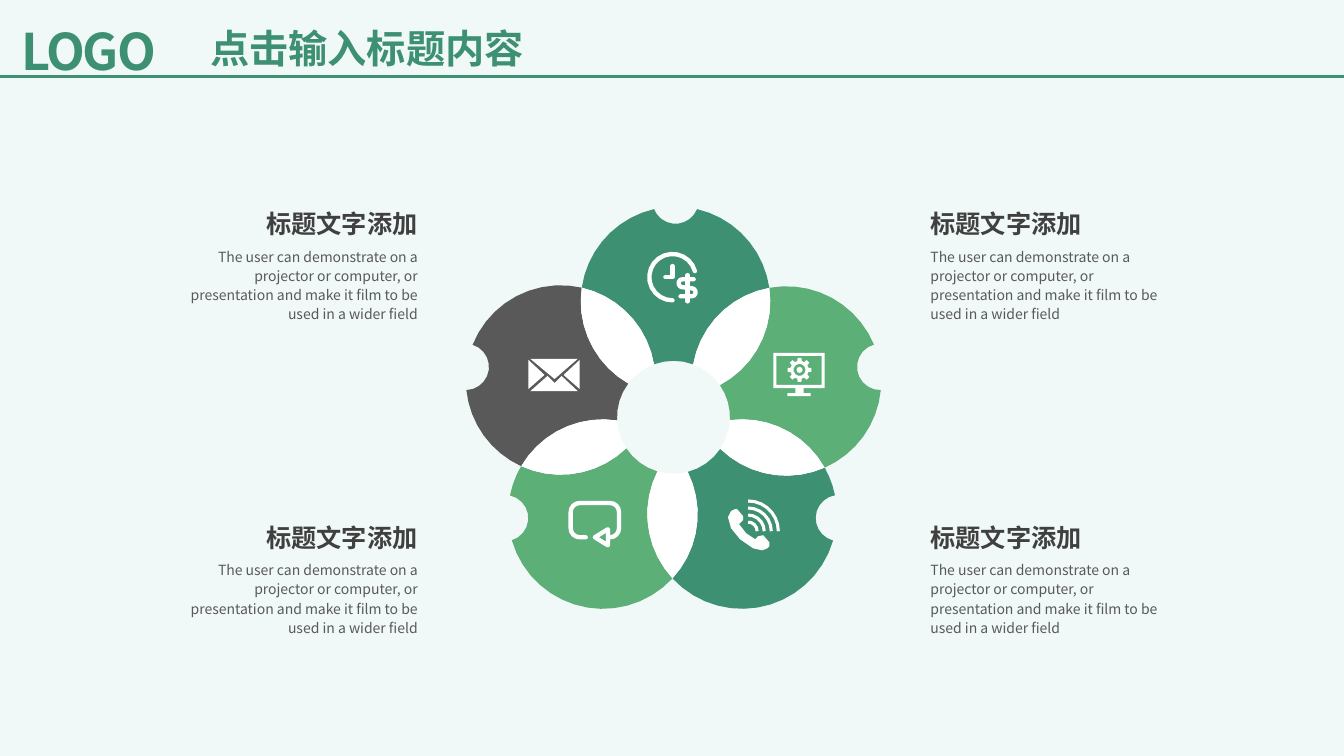
from dataclasses import dataclass
from math import atan2, ceil, cos, degrees, dist, hypot, radians, sin, sqrt
from typing import NamedTuple

from lxml.etree import SubElement
from pptx import Presentation
from pptx.dml.color import RGBColor
from pptx.enum.shapes import MSO_CONNECTOR, MSO_SHAPE
from pptx.enum.text import MSO_AUTO_SIZE, PP_ALIGN
from pptx.oxml.ns import qn
from pptx.util import Inches, Pt

GREEN = RGBColor(0x3D, 0x90, 0x72)
LIGHT_GREEN = RGBColor(0x5C, 0xAF, 0x77)
GRAY = RGBColor(0x59, 0x59, 0x59)
DARK = RGBColor(0x40, 0x40, 0x40)
WHITE = RGBColor(0xFF, 0xFF, 0xFF)
MINT = RGBColor(0xB4, 0xE2, 0xD7)
FONT = "Noto Sans CJK SC"
HEADING = "标题文字添加"
BODY = ("The user can demonstrate on a projector or computer, or presentation "
        "and make it film to be used in a wider field")


class Point(NamedTuple):
    x: float
    y: float


Outline = list[Point]


class Circle(NamedTuple):
    center: Point
    radius: float

    def at(self, angle: float) -> Point:
        return Point(self.center.x + self.radius * cos(radians(angle)),
                     self.center.y + self.radius * sin(radians(angle)))

    def sweep(self, start: float, end: float) -> Outline:
        steps = ceil(abs(radians(end - start)) / sqrt(0.02 / self.radius))
        return [self.at(start + (end - start) * i / steps) for i in range(steps + 1)]

    def short_arc(self, start: Point, end: Point) -> Outline:
        first, last = (degrees(atan2(p.y - self.center.y, p.x - self.center.x))
                       for p in (start, end))
        return self.sweep(first, first + (last - first + 180) % 360 - 180)

    def meet(self, other: "Circle") -> Outline:
        dx, dy = other.center.x - self.center.x, other.center.y - self.center.y
        gap = hypot(dx, dy)
        along = (gap ** 2 + self.radius ** 2 - other.radius ** 2) / (2 * gap)
        across = sqrt(self.radius ** 2 - along ** 2)
        return [Point(self.center.x + (along * dx - side * across * dy) / gap,
                      self.center.y + (along * dy + side * across * dx) / gap)
                for side in (1, -1)]

    def meet_near(self, other: "Circle", target: Point) -> Point:
        return min(self.meet(other), key=lambda p: dist(p, target))


@dataclass
class Petal:
    center: Point
    notch_center: Point
    color: RGBColor

    @property
    def circle(self) -> Circle:
        return Circle(self.center, 0.94)

    @property
    def notch(self) -> Circle:
        return Circle(self.notch_center, 0.23)


@dataclass
class Label:
    text: str
    left: float
    top: float
    width: float
    height: float
    size: float
    color: RGBColor
    bold: bool = True
    align: PP_ALIGN = PP_ALIGN.LEFT
    line_spacing: float = 1.0
    tracking: int = 0
    inset_x: float = 0.1
    inset_y: float = 0.05


HUB = Circle(Point(6.68, 4.14), 0.56)
PETALS = [
    Petal(Point(6.7, 2.99), Point(6.7, 1.99), GREEN),
    Petal(Point(7.8, 3.78), Point(8.73, 3.64), LIGHT_GREEN),
    Petal(Point(7.36, 5.1), Point(8.32, 5.14), GREEN),
    Petal(Point(5.98, 5.1), Point(5.01, 5.14), LIGHT_GREEN),
    Petal(Point(5.56, 3.77), Point(4.62, 3.64), GRAY),
]


def outer_corner(one: Petal, other: Petal) -> Point:
    return max(one.circle.meet(other.circle), key=lambda p: dist(p, HUB.center))


def petal_outline(before: Petal, petal: Petal, after: Petal) -> Outline:
    first, last = outer_corner(before, petal), outer_corner(petal, after)
    hub_first = HUB.meet_near(before.circle, petal.center)
    hub_last = HUB.meet_near(after.circle, petal.center)
    notch_first = petal.circle.meet_near(petal.notch, first)
    notch_last = petal.circle.meet_near(petal.notch, last)
    return (petal.circle.short_arc(first, notch_first)
            + petal.notch.short_arc(notch_first, notch_last)
            + petal.circle.short_arc(notch_last, last)
            + after.circle.short_arc(last, hub_last)
            + HUB.short_arc(hub_last, hub_first)
            + before.circle.short_arc(hub_first, first))


def overlap_outline(petal: Petal, after: Petal) -> Outline:
    tip = outer_corner(petal, after)
    hub_first = HUB.meet_near(petal.circle, after.center)
    hub_last = HUB.meet_near(after.circle, petal.center)
    return (petal.circle.short_arc(tip, hub_first) + HUB.short_arc(hub_first, hub_last)
            + after.circle.short_arc(hub_last, tip))


def trace(*pairs: tuple[float, float]) -> Outline:
    return [Point(*pair) for pair in pairs]


def draw_outlines(shapes, outlines: list[Outline], color: RGBColor,
                  stroke: float = 0, cap: str = "rnd") -> None:
    start = outlines[0][0]
    builder = shapes.build_freeform(Inches(start.x), Inches(start.y))
    for index, outline in enumerate(outlines):
        corners = [(Inches(p.x), Inches(p.y)) for p in outline]
        if index:
            builder.move_to(*corners[0])
        builder.add_line_segments(corners[1:], close=not stroke)
    drawn = builder.convert_to_shape()
    drawn.shadow.inherit = False
    if stroke:
        drawn.fill.background()
        drawn.line.color.rgb = color
        drawn.line.width = Pt(stroke)
        drawn.line._ln.set("cap", cap)
    else:
        drawn.fill.solid()
        drawn.fill.fore_color.rgb = color
        drawn.line.fill.background()


def draw_label(shapes, label: Label) -> None:
    box = shapes.add_textbox(*map(Inches, (label.left, label.top, label.width, label.height)))
    frame = box.text_frame
    frame.word_wrap = True
    frame.auto_size = MSO_AUTO_SIZE.SHAPE_TO_FIT_TEXT
    frame.margin_left = frame.margin_right = Inches(label.inset_x)
    frame.margin_top = frame.margin_bottom = Inches(label.inset_y)
    paragraph = frame.paragraphs[0]
    paragraph.alignment = label.align
    paragraph.line_spacing = label.line_spacing
    run = paragraph.add_run()
    run.text = label.text
    run.font.size = Pt(label.size)
    run.font.bold = label.bold
    run.font.color.rgb = label.color
    run.font.name = FONT
    properties = run._r.get_or_add_rPr()
    SubElement(properties, qn("a:ea")).set("typeface", FONT)
    if label.tracking:
        properties.set("spc", str(label.tracking))


def draw_header(shapes) -> None:
    backdrop = shapes.add_shape(MSO_SHAPE.RECTANGLE, 0, 0, Inches(13.33), Inches(7.5))
    backdrop.shadow.inherit = False
    backdrop.line.fill.background()
    backdrop.fill.solid()
    backdrop.fill.fore_color.rgb = MINT
    tint = backdrop._element.spPr.find(".//" + qn("a:srgbClr"))
    SubElement(tint, qn("a:alpha")).set("val", "20000")
    draw_label(shapes, Label("LOGO", 0.08, 0.13, 1.96, 0.74, 36, GREEN,
                             tracking=-150, inset_x=0.13, inset_y=0.07))
    rule = shapes.add_connector(MSO_CONNECTOR.STRAIGHT, 0, Inches(0.76),
                                Inches(13.33), Inches(0.76))
    rule.line.color.rgb = GREEN
    rule.line.width = Pt(2)
    SubElement(rule._element.spPr, qn("a:effectLst"))
    draw_label(shapes, Label("点击输入标题内容", 1.84, 0.19, 3.6, 0.57, 28, GREEN,
                             align=PP_ALIGN.CENTER))


def draw_icons(shapes) -> None:
    clock = Circle(Point(6.67, 2.75), 0.23).sweep(-15, -270)
    hand = trace((6.67, 2.64), (6.67, 2.75), (6.6, 2.75))
    dollar = (trace((6.88, 2.77)) + Circle(Point(6.77, 2.81), 0.04).sweep(-90, -270)
              + Circle(Point(6.86, 2.9), 0.04).sweep(-90, 90) + trace((6.75, 2.94)))
    bar = trace((6.82, 2.73), (6.82, 2.99))
    draw_outlines(shapes, [clock, hand, dollar, bar], WHITE, 3.1)

    draw_outlines(shapes, [
        trace((5.43, 3.73), (5.5, 3.8), (5.57, 3.73), (5.73, 3.88), (5.26, 3.88)),
        trace((5.75, 3.57), (5.75, 3.86), (5.59, 3.72)),
        trace((5.24, 3.57), (5.4, 3.72), (5.24, 3.86)),
        trace((5.26, 3.56), (5.73, 3.56), (5.5, 3.76))], WHITE)

    axle = Point(7.93, 3.67)
    gear = [Circle(axle, radius).at(45 * tooth + offset) for tooth in range(8)
            for radius, offset in ((0.09, -14), (0.12, -9), (0.12, 9), (0.09, 14))]
    monitor = trace((7.67, 3.5), (8.18, 3.5), (8.18, 3.85), (7.97, 3.85), (7.97, 3.9),
                    (8.04, 3.9), (8.04, 3.93), (7.81, 3.93), (7.81, 3.9), (7.89, 3.9),
                    (7.89, 3.85), (7.67, 3.85))
    screen = trace((7.7, 3.53), (7.7, 3.82), (8.15, 3.82), (8.15, 3.53))
    rings = [Circle(axle, radius).sweep(0, 360) for radius in (0.06, 0.03)]
    draw_outlines(shapes, [monitor, screen, gear, *rings], WHITE)

    draw_outlines(shapes, [trace(
        (7.29, 5.05), (7.31, 5.05), (7.37, 5.12), (7.37, 5.16), (7.33, 5.2), (7.4, 5.29),
        (7.49, 5.35), (7.52, 5.32), (7.57, 5.31), (7.63, 5.38), (7.63, 5.42), (7.61, 5.44),
        (7.56, 5.46), (7.47, 5.44), (7.34, 5.35), (7.25, 5.24), (7.22, 5.13), (7.25, 5.07))],
        WHITE)
    waves = [Circle(Point(7.42, 5.27), 0.09 + 0.07 * wave).sweep(-90, 0) for wave in range(4)]
    draw_outlines(shapes, waves, WHITE, 2.2, "flat")

    bubble = trace((5.81, 5.33))
    for x, y, start in ((5.75, 5.24, 90), (5.75, 5.08, 180), (6.05, 5.08, 270), (6.05, 5.24, 360)):
        bubble += Circle(Point(x, y), 0.09).sweep(start, start + 90)
    arrow = trace((6.03, 5.33), (6.03, 5.25), (5.9, 5.33), (6.03, 5.41), (6.03, 5.33))
    draw_outlines(shapes, [bubble, arrow], WHITE, 3.1)


def main() -> None:
    deck = Presentation()
    deck.slide_width, deck.slide_height = Inches(13.33), Inches(7.5)
    shapes = deck.slides.add_slide(deck.slide_layouts[6]).shapes
    draw_header(shapes)
    neighbours = list(zip(PETALS[-1:] + PETALS[:-1], PETALS, PETALS[1:] + PETALS[:1]))
    for before, petal, after in neighbours:
        draw_outlines(shapes, [petal_outline(before, petal, after)], petal.color)
    for _, petal, after in neighbours:
        draw_outlines(shapes, [overlap_outline(petal, after)], WHITE)
    draw_icons(shapes)
    for heading_left, body_left, align in ((9.13, 9.13, PP_ALIGN.LEFT),
                                           (1.91, 1.67, PP_ALIGN.RIGHT)):
        for top in (2.02, 5.13):
            draw_label(shapes, Label(HEADING, heading_left, top, 2.33, 0.4, 18, DARK, align=align))
            draw_label(shapes, Label(BODY, body_left, top + 0.37, 2.57, 0.87, 10, GRAY,
                                     bold=False, align=align, line_spacing=1.14))
    deck.save("out.pptx")


if __name__ == "__main__":
    main()
